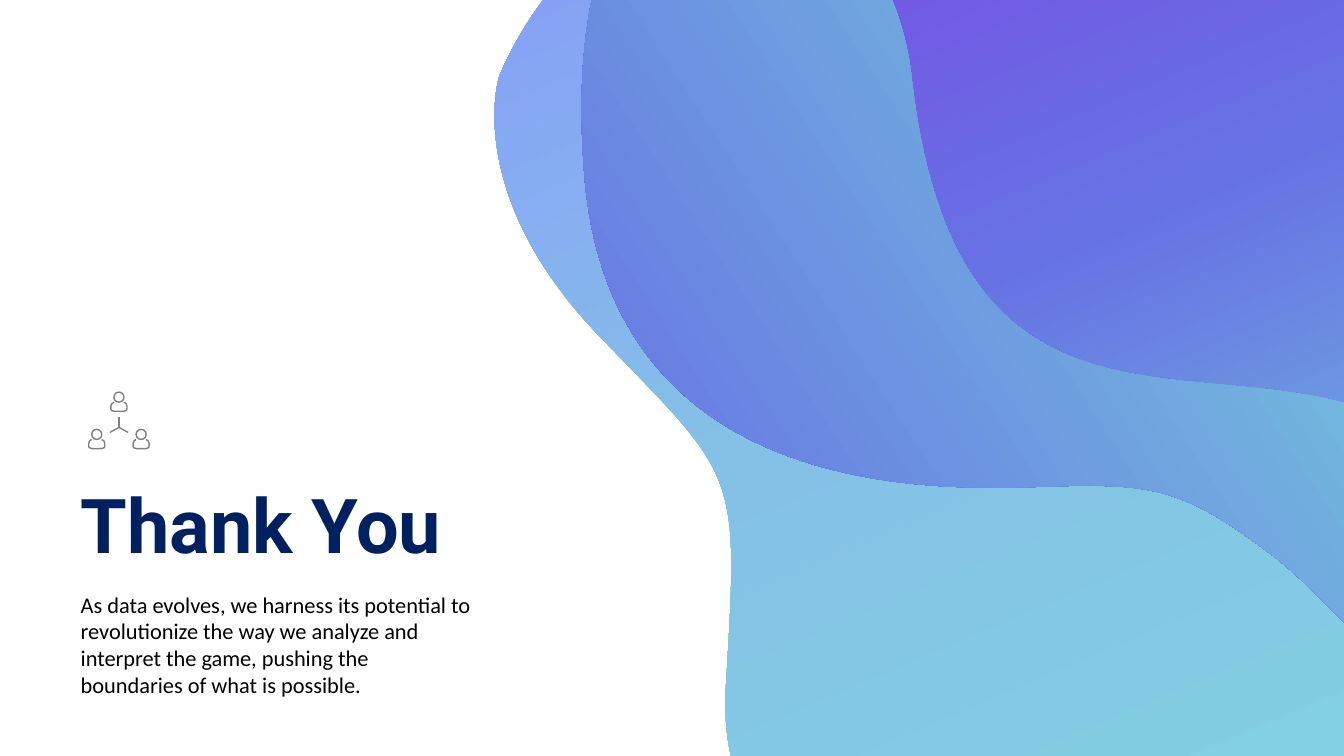
from copy import deepcopy
from dataclasses import dataclass
from math import cos, radians, sin

from pptx import Presentation
from pptx.dml.color import RGBColor as RGB
from pptx.enum.shapes import MSO_CONNECTOR as CONN, MSO_SHAPE as SHAPE
from pptx.enum.text import MSO_ANCHOR as ANCHOR, MSO_AUTO_SIZE as AUTO, PP_ALIGN as ALIGN
from pptx.oxml.ns import qn
from pptx.util import Pt

PX = 9144  # EMU in one px, a hundredth of an inch
TILT = 157
CURVE_STEPS = 24


@dataclass(frozen=True)
class Theme:
    title_font: str = "Roboto"
    body_font: str = "Calibri"
    title_size: int = 54
    body_size: int = 16
    icon_line: int = 1
    title: str = "002060"
    body: str = "000000"
    icon: str = "808080"
    back_wave: tuple = ((0, "80DEDE"), (54, "85C1E7"), (100, "878CFF"))
    corner_wave: tuple = ((0, "7CEFD8"), (51, "6672E4"), (100, "882BE5"))
    middle_wave: tuple = ((0, "882BE5"), (19, "6672E4"), (100, "7CEFD8"))


THEME = Theme()

# Each outline is a start point followed by three points per Bézier curve.
BACK_WAVE = [
    (920, 106), (971, 556), (1290, 315), (1467, 496), (1645, 676), (1581, 811), (1528, 840),
    (1475, 869), (1429, 866), (1375, 787), (1320, 707), (1153, 796), (1038, 856),
    (924, 916), (706, 893), (720, 679), (733, 464), (732, 476), (595, 334),
    (458, 192), (495, 76), (495, 76), (495, 76), (568, -115), (737, -98),
    (907, -81), (920, 106), (920, 106)]
CORNER_WAVE = [
    (732, -186), (732, -186), (556, -159), (579, 167), (601, 492), (918, 487), (1031, 483),
    (1144, 479), (1172, 483), (1262, 551), (1352, 620), (1413, 755), (1528, 626),
    (1643, 496), (1426, 358), (1396, 301), (1366, 244), (1422, 99), (1371, 43),
    (1321, -12), (1286, -80), (1049, -60), (1049, -60), (933, -22), (844, -146),
    (844, -146), (788, -214), (732, -186)]
MIDDLE_WAVE = [
    (579, 167), (568, 19), (599, -67), (635, -118), (661, -127), (689, -130), (721, -128),
    (890, -111), (904, 76), (904, 76), (955, 526), (1274, 285), (1451, 466),
    (1499, 514), (1529, 560), (1547, 600), (1542, 609), (1536, 617), (1529, 625),
    (1413, 755), (1352, 620), (1262, 551), (1172, 483), (1144, 479), (1031, 483),
    (918, 487), (601, 492), (579, 167)]
SHOULDERS = [
    (14, 11), (16, 12), (17, 13), (17, 15), (17, 19), (17, 20), (14, 20),
    (10, 20), (8, 20), (4, 20), (1, 20), (1, 19), (1, 15), (1, 13), (2, 12), (4, 11)]


def px(*lengths):
    return [round(n * PX) for n in lengths]


def turn(point, degrees):
    x, y = point
    c, s = cos(radians(degrees)), sin(radians(degrees))
    return x * c - y * s, x * s + y * c


def curve_bounds(outline):
    """Return left, top, width and height of the curves, handles left out."""
    points = []
    for i in range(0, len(outline) - 1, 3):
        curve = outline[i:i + 4]
        for step in range(CURVE_STEPS + 1):
            t = step / CURVE_STEPS
            weights = ((1 - t) ** 3, 3 * t * (1 - t) ** 2, 3 * t * t * (1 - t), t ** 3)
            points.append([sum(w * p[axis] for w, p in zip(weights, curve))
                           for axis in (0, 1)])
    xs, ys = zip(*points)
    return min(xs), min(ys), max(xs) - min(xs), max(ys) - min(ys)


def add_curves(shapes, outline, close):
    start, *rest = [tuple(px(*point)) for point in outline]
    builder = shapes.build_freeform(*start, scale=1.0)
    builder.add_line_segments(rest, close=close)
    sp = builder.convert_to_shape()
    sp.shadow.inherit = False
    track = sp._element.spPr.find(".//" + qn("a:path"))
    lines = track.findall(qn("a:lnTo"))
    for i in range(0, len(lines), 3):
        curve = track.makeelement(qn("a:cubicBezTo"), {})
        lines[i].addprevious(curve)
        for line in lines[i:i + 3]:
            curve.append(line[0])
            track.remove(line)
    left, top, width, height = px(*curve_bounds(outline))
    for pt in track.iter(qn("a:pt")):
        pt.set("x", str(int(pt.get("x")) + sp.left - left))
        pt.set("y", str(int(pt.get("y")) + sp.top - top))
    track.set("w", str(width))
    track.set("h", str(height))
    sp.left, sp.top, sp.width, sp.height = left, top, width, height
    return sp


def fill_gradient(sp, stops, angle):
    """Fill with any number of stops; angle runs clockwise."""
    sp.fill.gradient()
    sp.fill.gradient_angle = (360 - angle) % 360
    gs_list = sp._element.spPr.find(qn("a:gradFill")).find(qn("a:gsLst"))
    while len(gs_list) < len(stops):
        gs_list.append(deepcopy(gs_list[0]))
    for stop, (percent, color) in zip(sp.fill.gradient_stops, stops):
        stop.position = percent / 100
        stop.color.rgb = RGB.from_string(color)


def add_wave(shapes, outline, stops, angle):
    """Draw the outline upright, then tilt it so that its gradient tilts too."""
    sp = add_curves(shapes, [turn(p, -TILT) for p in outline], True)
    x, y = turn((sp.left + sp.width / 2, sp.top + sp.height / 2), TILT)
    sp.left, sp.top = round(x - sp.width / 2), round(y - sp.height / 2)
    sp.rotation = TILT
    fill_gradient(sp, stops, angle)
    sp.line.fill.background()


def style_icon_line(line):
    line.color.rgb = RGB.from_string(THEME.icon)
    line.width = Pt(THEME.icon_line)


def add_person(shapes, left, top):
    head = shapes.add_shape(SHAPE.OVAL, *px(left + 4, top + 1, 10, 10))
    head.shadow.inherit = False
    body = add_curves(shapes, [(left + x, top + y) for x, y in SHOULDERS], False)
    for sp in (head, body):
        sp.fill.background()
        style_icon_line(sp.line)


def add_team_icon(s, left, top):
    shapes = s.shapes.add_group_shape().shapes
    for dx, dy in ((22, 0), (0, 37), (44, 37)):
        add_person(shapes, left + dx, top + dy)
    hub_x, hub_y = left + 31, top + 36
    for dx, dy in ((0, -10), (-9, 5), (9, 5)):
        spoke = shapes.add_connector(
            CONN.STRAIGHT, *px(hub_x, hub_y, hub_x + dx, hub_y + dy))
        style_icon_line(spoke.line)
        spoke._element.spPr.append(spoke._element.makeelement(qn("a:effectLst"), {}))


def set_text(sp, box, text, font, size, color, bold=False):
    sp.left, sp.top, sp.width, sp.height = px(*box)
    tf = sp.text_frame
    tf.margin_left = tf.margin_top = tf.margin_right = tf.margin_bottom = 0
    tf.word_wrap = True
    tf.auto_size = AUTO.NONE
    tf.vertical_anchor = ANCHOR.TOP
    tf.text = text
    p = tf.paragraphs[0]
    p.alignment = ALIGN.LEFT
    p.space_before = Pt(0)
    r = p.runs[0]
    r.font.name, r.font.size, r.font.bold = font, Pt(size), bold
    r.font.color.rgb = RGB.from_string(color)


def add_message(s, left, top):
    title, body = s.placeholders
    set_text(title, (left, top, 530, 91), "Thank You",
             THEME.title_font, THEME.title_size, THEME.title, True)
    set_text(body, (left, top + 112, 387, 108),
             "As data evolves, we harness its potential to revolutionize the way we "
             "analyze and interpret the game, pushing the boundaries of what is possible.",
             THEME.body_font, THEME.body_size, THEME.body)


def add_closing_slide(prs):
    s = prs.slides.add_slide(prs.slide_layouts[0])
    add_message(s, 80, 474)
    add_team_icon(s, 87, 388)
    for outline, stops, angle in ((BACK_WAVE, THEME.back_wave, 90),
                                  (CORNER_WAVE, THEME.corner_wave, 90),
                                  (MIDDLE_WAVE, THEME.middle_wave, 170)):
        add_wave(s.shapes, outline, stops, angle)


def main():
    prs = Presentation()
    prs.slide_width, prs.slide_height = px(1333, 750)
    add_closing_slide(prs)
    prs.save("out.pptx")


if __name__ == "__main__":
    main()
